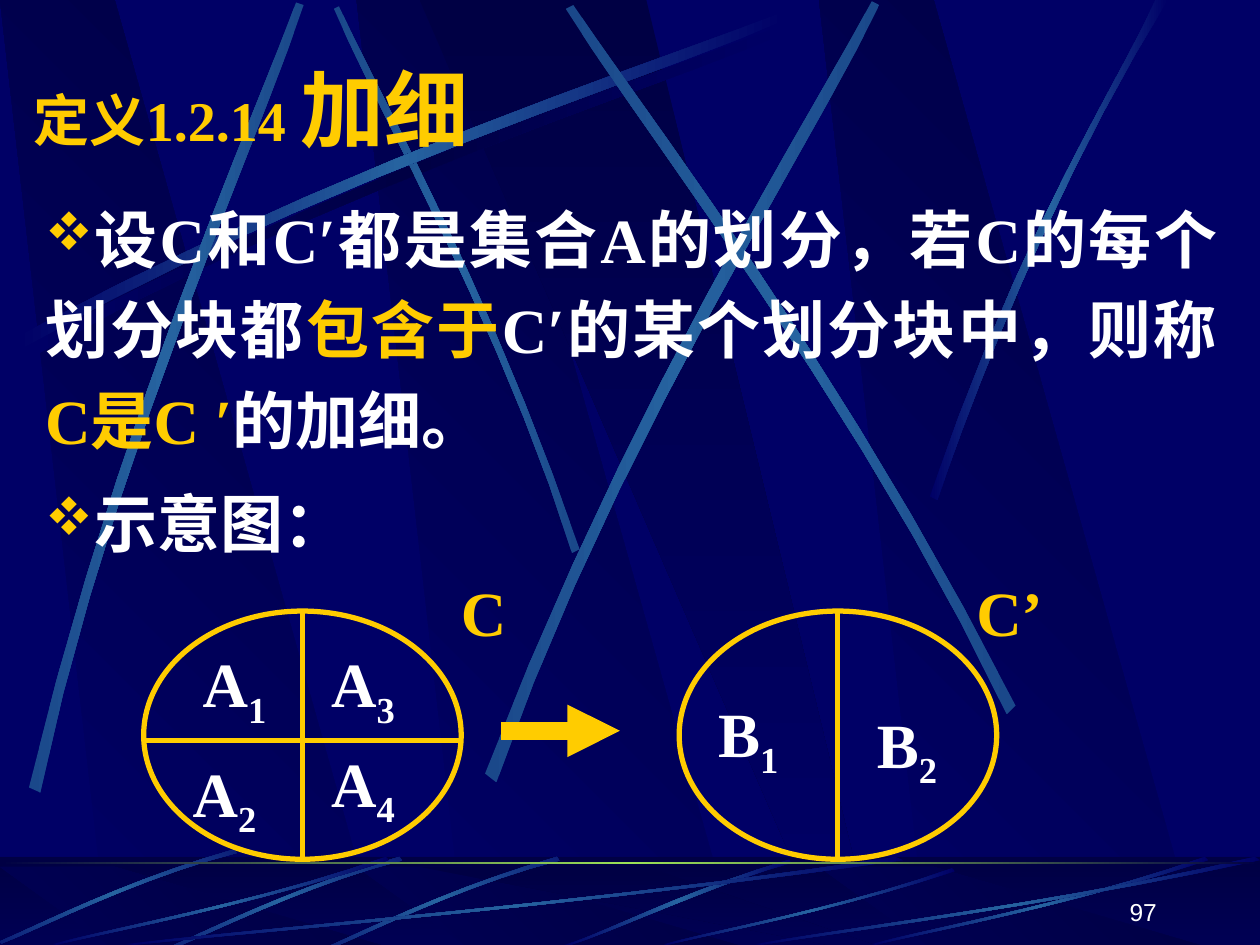
from math import cos, radians, sin

from lxml import etree
from pptx import Presentation
from pptx.dml.color import RGBColor
from pptx.enum.shapes import MSO_CONNECTOR, MSO_SHAPE
from pptx.enum.text import MSO_ANCHOR, PP_ALIGN
from pptx.oxml import parse_xml
from pptx.oxml.ns import nsdecls, qn
from pptx.util import Inches, Pt

RECTANGLE, ELLIPSE = MSO_SHAPE.RECTANGLE, MSO_SHAPE.OVAL
STRAIGHT = MSO_CONNECTOR.STRAIGHT
TOP, MIDDLE, BOTTOM = MSO_ANCHOR.TOP, MSO_ANCHOR.MIDDLE, MSO_ANCHOR.BOTTOM
LEFT, RIGHT, JUSTIFY = PP_ALIGN.LEFT, PP_ALIGN.RIGHT, PP_ALIGN.JUSTIFY

NAVY = RGBColor(0x00, 0x00, 0x66)
DARK = RGBColor(0x00, 0x00, 0x44)
BLUE = RGBColor(0x26, 0x63, 0xA0)
DEEP_BLUE = RGBColor(0x1A, 0x48, 0x8A)
GREEN = RGBColor(0x9C, 0xE1, 0x57)
GOLD = RGBColor(0xFF, 0xCC, 0x00)
WHITE = RGBColor(0xFF, 0xFF, 0xFF)

FADING = (NAVY, BLUE, NAVY)
STEADY = (DEEP_BLUE, BLUE, DEEP_BLUE)
SHADE = (NAVY, DARK, NAVY)
SERIF = {"name": "Times New Roman", "size": Pt(36), "bold": True}
SANS = {"name": "Arial", "size": Pt(14), "bold": False}

SLIDE_HEIGHT = 7.5
BAND_OFFSETS = (2.83, 0, 6.5)
LONG_RIBBON = [(0.14, 2.67), (2.78, 1.25), (5.18, 0.51), (6.2, 0.1),
               (6.23, 0.16), (5.22, 0.61), (2.48, 1.43), (0.17, 2.77)]
STEADY_RIBBONS = [
    [(4.6, 4.36), (3.91, 2.34), (3.02, 0.77), (2.69, 0.05),
     (2.65, 0.07), (2.95, 0.79), (3.98, 2.58), (4.54, 4.39)],
    [(0.23, 6.25), (0.93, 3.34), (1.97, 1.05), (2.35, 0.02),
     (2.41, 0.04), (2.07, 1.09), (0.86, 3.68), (0.32, 6.29)],
    [(3.85, 6.14), (4.98, 3.2), (6.38, 1.02), (6.92, 0.01),
     (6.98, 0.04), (6.49, 1.08), (4.86, 3.55), (3.94, 6.21)],
    [(8.06, 5.6), (6.7, 2.93), (5.16, 0.95), (4.55, 0.04),
     (4.49, 0.07), (5.07, 1.01), (6.85, 3.25), (7.99, 5.67)],
]
RIGHT_RIBBON = [(7.38, 3.94), (8.14, 1.73), (8.88, 0.66), (9.17, 0),
                (9.27, 0), (8.36, 1.45), (7.69, 3.22), (7.44, 3.97)]
FLOOR_RIBBON = [(6.27, 6.82), (5.37, 7.09), (4.77, 7.42), (4.48, 7.5),
                (4.53, 7.5), (4.9, 7.38), (5.71, 7), (6.28, 6.85)]
SHORT_RIBBON = [(0.92, -0.38), (0.05, -0.13), (-0.63, 0.22), (-0.94, 0.35),
                (-0.93, 0.37), (-0.62, 0.25), (0.15, -0.15), (0.94, -0.35)]
SHORT_CENTERS = [(3.5, 7.18), (2.25, 7.18), (0.94, 7.12)]
SWEEP = [(1, 0.04), (0.57, 0.57), (0.17, 0.85), (0.01, 1),
         (0, 0.99), (0.17, 0.81), (0.62, 0.51), (0.99, 0)]
SWEEP_BOXES = [(1, 6.8, 6.17), (0.42, 6.8, 2.67), (5.27, 6.89, 2.31),
               (6.92, 6.8, 2.67), (6, 6.8, 4)]


def set_gradient(shape, colors, angle):
    shape.shadow.inherit = False
    shape.line.fill.background()
    step = 100000 // (len(colors) - 1)
    stops = "".join(
        f'<a:gs pos="{index * step}"><a:srgbClr val="{color}"/></a:gs>'
        for index, color in enumerate(colors))
    fill = parse_xml(f'<a:gradFill {nsdecls("a")} rotWithShape="1"><a:gsLst>{stops}</a:gsLst>'
                     f'<a:lin ang="{angle * 60000}" scaled="0"/></a:gradFill>')
    shape.line._ln.addprevious(fill)


def add_polygon(page, points, colors, angle):
    corners = [(Inches(x), Inches(y)) for x, y in points]
    builder = page.shapes.build_freeform(*corners[0])
    builder.add_line_segments(corners[1:], close=True)
    shape = builder.convert_to_shape()
    set_gradient(shape, colors, angle)
    return shape


def curve_points(controls, steps=10):
    for index in range(steps + 1):
        t = index / steps
        weights = ((1 - t) ** 3, 3 * t * (1 - t) ** 2, 3 * t * t * (1 - t), t ** 3)
        yield tuple(sum(w * point[axis] for w, point in zip(weights, controls))
                    for axis in (0, 1))


def add_ribbon(page, controls, colors):
    points = [*curve_points(controls[:4]), *curve_points(controls[4:])]
    return add_polygon(page, points, colors, 0)


def add_turned_ribbon(page, controls, center, rotation):
    turn = radians(-rotation)
    level = [(center[0] + x * cos(turn) - y * sin(turn),
              center[1] + x * sin(turn) + y * cos(turn)) for x, y in controls]
    add_ribbon(page, level, FADING).rotation = rotation


def add_bands(page, top, bottom):
    for left in BAND_OFFSETS:
        add_polygon(page, [(left, top), (left + 0.86, bottom), (left + 3.02, bottom),
                           (left + 0.91, top)], (NAVY, DARK), 315)
    add_polygon(page, [(3.33, top), (6.58, bottom), (6.94, bottom), (5.13, top)],
                (DARK, NAVY), 90)


def add_rectangle(page, top, height):
    return page.shapes.add_shape(RECTANGLE, 0, Inches(top), Inches(10), Inches(height))


def add_backdrop(page):
    add_bands(page, 0, SLIDE_HEIGHT)
    add_ribbon(page, [(x + 0.06, y + 0.08) for x, y in LONG_RIBBON], SHADE)
    add_ribbon(page, STEADY_RIBBONS[0], STEADY)
    add_ribbon(page, LONG_RIBBON, FADING)
    for controls in STEADY_RIBBONS[1:]:
        add_ribbon(page, controls, STEADY)
    add_ribbon(page, RIGHT_RIBBON, FADING)


def add_floor(page):
    set_gradient(add_rectangle(page, 6.8, 0.7), (DARK, NAVY), 90)
    add_bands(page, 6.88, SLIDE_HEIGHT)
    veil = add_rectangle(page, 6.8, 0.7)
    veil.shadow.inherit = False
    veil.fill.solid()
    veil.fill.fore_color.rgb = DARK
    veil.line.fill.background()
    color = veil._element.spPr.find(".//" + qn("a:srgbClr"))
    etree.SubElement(color, qn("a:alpha"), val="50000")
    add_ribbon(page, FLOOR_RIBBON, FADING)
    for center in SHORT_CENTERS:
        add_turned_ribbon(page, SHORT_RIBBON, center, 315)
    for left, top, width in SWEEP_BOXES:
        height = SLIDE_HEIGHT - top
        add_ribbon(page, [(left + width * x, top + height * y) for x, y in SWEEP], FADING)
    set_gradient(add_rectangle(page, 6.84, 0.02), (DARK, GREEN, DARK), 0)


def add_box(page, place, anchor=TOP):
    frame = page.shapes.add_textbox(*map(Inches, place)).text_frame
    frame.word_wrap = True
    frame.vertical_anchor = anchor
    return frame


def add_span(para, text, color, style=SERIF, **changes):
    span = para.add_run()
    span.text = text
    for name, value in {**style, **changes}.items():
        setattr(span.font, name, value)
    span.font.color.rgb = color
    return span


def add_bullet(para):
    properties = para._p.get_or_add_pPr()
    properties.set("marL", "0")
    properties.set("indent", "0")
    color = etree.SubElement(properties, qn("a:buClr"))
    etree.SubElement(color, qn("a:srgbClr"), val=str(GOLD))
    etree.SubElement(properties, qn("a:buSzPct"), val="85000")
    etree.SubElement(properties, qn("a:buFont"), typeface="Wingdings", charset="2")
    etree.SubElement(properties, qn("a:buChar"), char="v")


def add_label(page, left, top, width, text, color, subscript=""):
    para = add_box(page, (left, top, width, 0.82)).paragraphs[0]
    para.alignment, para.line_spacing = LEFT, 1.2
    para._p.get_or_add_pPr().set("indent", str(Inches(0.29)))
    add_span(para, text, color)
    if subscript:
        span = add_span(para, subscript, color)
        span._r.get_or_add_rPr().set("baseline", "-25000")


def add_line(page, start, end, width=3, arrow=False):
    line = page.shapes.add_connector(STRAIGHT, *map(Inches, (*start, *end)))
    line.line.color.rgb = GOLD
    line.line.width = Pt(width)
    if arrow:
        etree.SubElement(line.line._ln, qn("a:tailEnd"), type="triangle")
    etree.SubElement(line._element.spPr, qn("a:effectLst"))


def add_ellipse(page, left):
    ellipse = page.shapes.add_shape(ELLIPSE, *map(Inches, (left, 4.85, 2.52, 1.97)))
    ellipse.shadow.inherit = False
    ellipse.fill.background()
    ellipse.line.color.rgb = GOLD
    ellipse.line.width = Pt(3)
    add_line(page, (left + 1.26, 4.85), (left + 1.26, 6.82))


def add_content(page):
    title = add_box(page, (0.17, 0.41, 9.5, 0.9), MIDDLE).paragraphs[0]
    add_span(title, "定义1.2.14 ", GOLD, size=Pt(32))
    add_span(title, "加细", GOLD, size=Pt(48))

    body = add_box(page, (0.26, 1.42, 9.5, 5.58))
    definition, caption = body.paragraphs[0], body.add_paragraph()
    caption.space_before = Pt(7)
    for para in (definition, caption):
        para.alignment, para.line_spacing = JUSTIFY, 1.2
        add_bullet(para)
    for text, color in (("设C和C′都是集合A的划分，若C的每个划分块都", WHITE), ("包含于", GOLD),
                        ("C′的某个划分块中，则称", WHITE), ("C是C ′", GOLD),
                        ("的加细。", WHITE)):
        add_span(definition, text, color)
    add_span(caption, "示意图：", WHITE)


def add_diagram(page):
    add_ellipse(page, 1.14)
    add_line(page, (1.14, 5.88), (3.66, 5.88))
    add_line(page, (3.98, 5.8), (4.92, 5.8), width=10, arrow=True)
    add_ellipse(page, 5.39)
    add_label(page, 3.27, 4.38, 0.94, "C", GOLD)
    add_label(page, 7.36, 4.38, 1.26, "C’", GOLD)
    for left, top, name, number in ((1.22, 4.93, "A", "1"), (1.14, 5.8, "A", "2"),
                                    (2.24, 4.93, "A", "3"), (2.24, 5.72, "A", "4"),
                                    (5.31, 5.33, "B", "1"), (6.57, 5.41, "B", "2")):
        add_label(page, left, top, 1.42, name, WHITE, number)


def main():
    deck = Presentation()
    deck.slide_width, deck.slide_height = Inches(10), Inches(SLIDE_HEIGHT)
    page = deck.slides.add_slide(deck.slide_layouts[6])
    page.background.fill.solid()
    page.background.fill.fore_color.rgb = NAVY
    add_backdrop(page)
    add_floor(page)
    add_content(page)
    add_diagram(page)
    number = add_box(page, (7.2, 6.9, 2.08, 0.5), BOTTOM).paragraphs[0]
    number.alignment = RIGHT
    add_span(number, "97", WHITE, SANS)
    deck.save("out.pptx")


if __name__ == "__main__":
    main()
